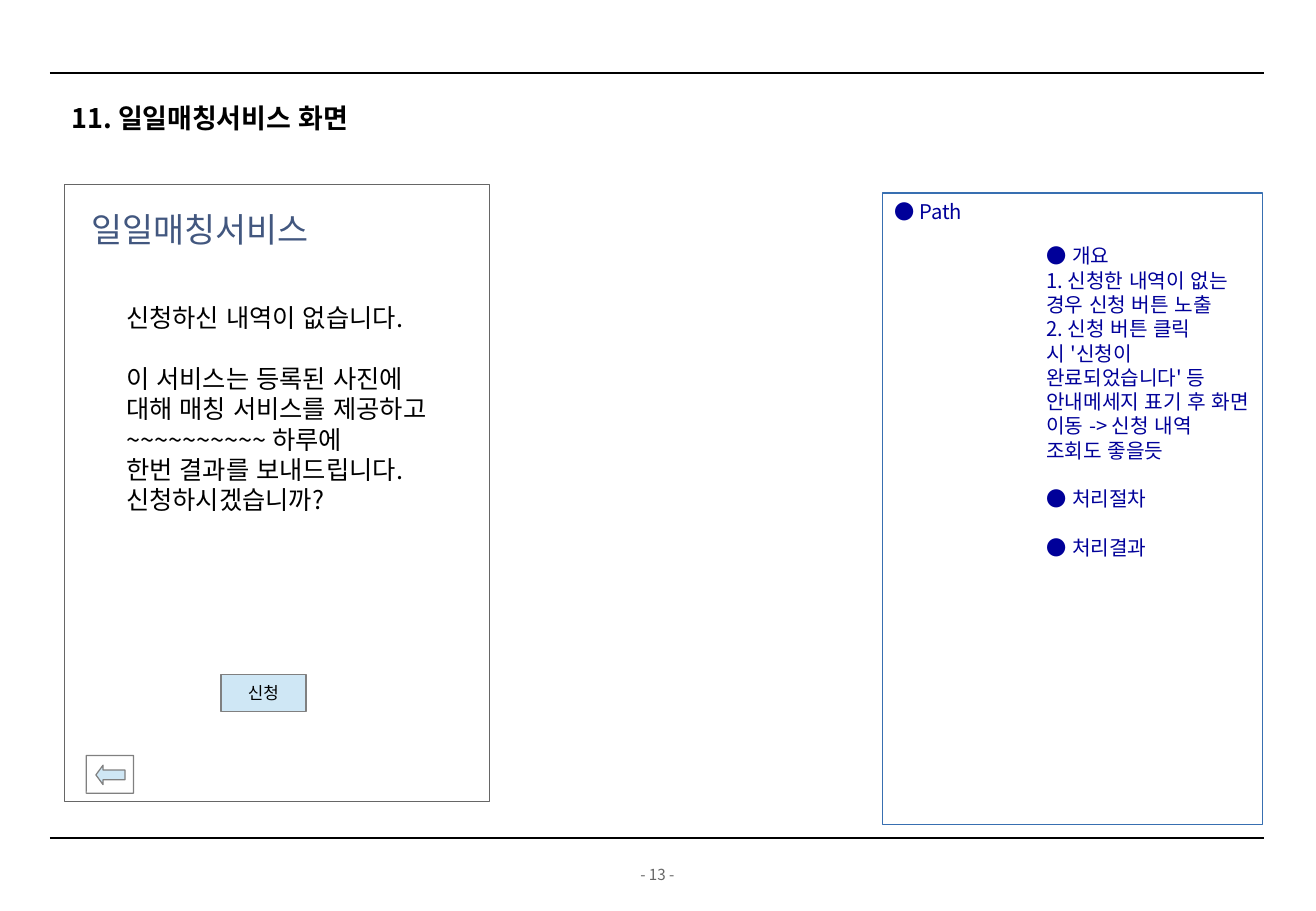
from pptx import Presentation
from pptx.dml.color import RGBColor
from pptx.enum.lang import MSO_LANGUAGE_ID as Lang
from pptx.enum.shapes import MSO_CONNECTOR as Connector, MSO_SHAPE as Shape
from pptx.enum.text import MSO_ANCHOR as Anchor, PP_ALIGN as Align
from pptx.oxml.ns import qn
from pptx.util import Inches, Pt
from lxml.etree import SubElement

FONT = "Noto Sans CJK KR"
COLORS = {
    "black": "000000", "white": "FFFFFF", "gray": "666666", "edge": "808080",
    "heading": "42577F", "note": "000099", "frame": "386FB1", "button": "CFE7F5",
}


def color(name):
    return RGBColor.from_string(COLORS[name])


def write(box, paragraphs, size, ink="black", bold=False, align=Align.LEFT,
          anchor=Anchor.TOP, pad=(0.1, 0.05), spacing=None):
    """Each paragraph is (text, space before in points, left margin, first-line indent)."""
    frame = box.text_frame
    frame.word_wrap = True
    frame.vertical_anchor = anchor
    frame.margin_left = frame.margin_right = Inches(pad[0])
    frame.margin_top = frame.margin_bottom = Inches(pad[1])
    for index, (text, before, margin, indent) in enumerate(paragraphs):
        para = frame.paragraphs[0] if index == 0 else frame.add_paragraph()
        para.alignment = align
        para.space_before = Pt(before)
        if spacing:
            para.line_spacing = Pt(spacing)
        properties = para._p.get_or_add_pPr()
        properties.set("marL", str(Inches(margin)))
        properties.set("indent", str(Inches(indent)))
        span = para.add_run()
        span.text = text
        span.font.name = FONT
        span.font.size = Pt(size)
        span.font.bold = bold
        span.font.color.rgb = color(ink)
        span.font.language_id = Lang.KOREAN
        SubElement(span._r.get_or_add_rPr(), qn("a:ea"), typeface=FONT)


def plain(text, before=0, margin=0, indent=0):
    return text, before, margin, indent


def add_text(page, left, top, width, height, paragraphs, **style):
    box = page.shapes.add_textbox(*map(Inches, (left, top, width, height)))
    write(box, paragraphs, **style)


def add_block(page, kind, left, top, width, height, fill=None, line=None, adjust=()):
    block = page.shapes.add_shape(kind, *map(Inches, (left, top, width, height)))
    block.shadow.inherit = False
    for index, value in enumerate(adjust):
        block.adjustments[index] = value
    if fill:
        block.fill.solid()
        block.fill.fore_color.rgb = color(fill)
    else:
        block.fill.background()
    if line:
        block.line.color.rgb = color(line)
        block.line.width = Pt(0.75)
    else:
        block.line.fill.background()
    return block


def add_page_frame(page, left, right, top, bottom):
    # Rules above and below the content
    for y in (top, bottom):
        rule = page.shapes.add_connector(
            Connector.STRAIGHT, *map(Inches, (left, y, right, y)))
        rule.line.color.rgb = color("black")
        rule.line.width = Pt(1)
        SubElement(rule._element.spPr, qn("a:effectLst"))
    # Page number and title
    add_text(page, 0, bottom + 0.17, 10.83, 0.25, [plain("- 13 -")],
             size=9, ink="gray", align=Align.CENTER, spacing=10.9)
    add_text(page, left + 0.06, top + 0.06, 9.9, 0.47,
             [plain("11. 일일매칭서비스 화면", margin=0.38, indent=-0.36)],
             size=16, bold=True, spacing=28.5)


def add_app_screen(page, left, top, width, height):
    add_block(page, Shape.RECTANGLE, left, top, width, height, line="gray")
    # Screen heading
    heading = add_block(page, Shape.RECTANGLE, left + 0.22, top + 0.07, 2.97, 0.59,
                        fill="white")
    write(heading, [plain("일일매칭서비스")], size=20, ink="heading",
          anchor=Anchor.MIDDLE, pad=(0, 0))
    # Message
    message = [
        plain("신청하신 내역이 없습니다."),
        plain("이 서비스는 등록된 사진에", before=18),
        plain("대해 매칭 서비스를 제공하고"),
        plain("~~~~~~~~~~ 하루에"),
        plain("한번 결과를 보내드립니다."),
        plain("신청하시겠습니까?"),
    ]
    add_text(page, left + 0.41, top + 0.92, 5.04, 0.35, message, size=15, spacing=18)
    # Back button
    add_block(page, Shape.ROUNDED_RECTANGLE, left + 0.18, top + 4.7, 0.39, 0.31,
              fill="white", line="edge", adjust=[0.01])
    add_block(page, Shape.LEFT_ARROW, left + 0.26, top + 4.78, 0.24, 0.16,
              fill="button", line="edge", adjust=[0.5, 0.37])
    # Apply button
    apply = add_block(page, Shape.ROUNDED_RECTANGLE, left + 1.29, top + 4.03, 0.7, 0.31,
                      fill="button", line="edge", adjust=[0])
    write(apply, [plain("신청")], size=10, align=Align.CENTER, anchor=Anchor.MIDDLE)


def add_spec_panel(page, left, top, width, height):
    panel = add_block(page, Shape.RECTANGLE, left, top, width, height, line="frame")
    details = [
        ("● 개요", 12),
        ("1. 신청한 내역이 없는 경우 신청 버튼 노출", 0),
        ("2. 신청 버튼 클릭시 '신청이 완료되었습니다' 등 안내메세지 표기 후 화면 이동"
         " -> 신청 내역 조회도 좋을듯", 0),
        ("● 처리절차", 14.4),
        ("● 처리결과", 14.4),
    ]
    paragraphs = [plain("● Path")]
    paragraphs += [plain(text, before, margin=1.25) for text, before in details]
    write(panel, paragraphs, size=12, ink="note", spacing=14.4)


def main():
    deck = Presentation()
    deck.slide_width, deck.slide_height = Inches(10.84), Inches(7.5)
    page = deck.slides.add_slide(deck.slide_layouts[6])
    add_page_frame(page, left=0.41, right=10.41, top=0.6, bottom=6.9)
    add_app_screen(page, 0.53, 1.52, 3.5, 5.08)
    add_spec_panel(page, 7.27, 1.59, 3.13, 5.2)
    deck.save("out.pptx")


if __name__ == "__main__":
    main()
